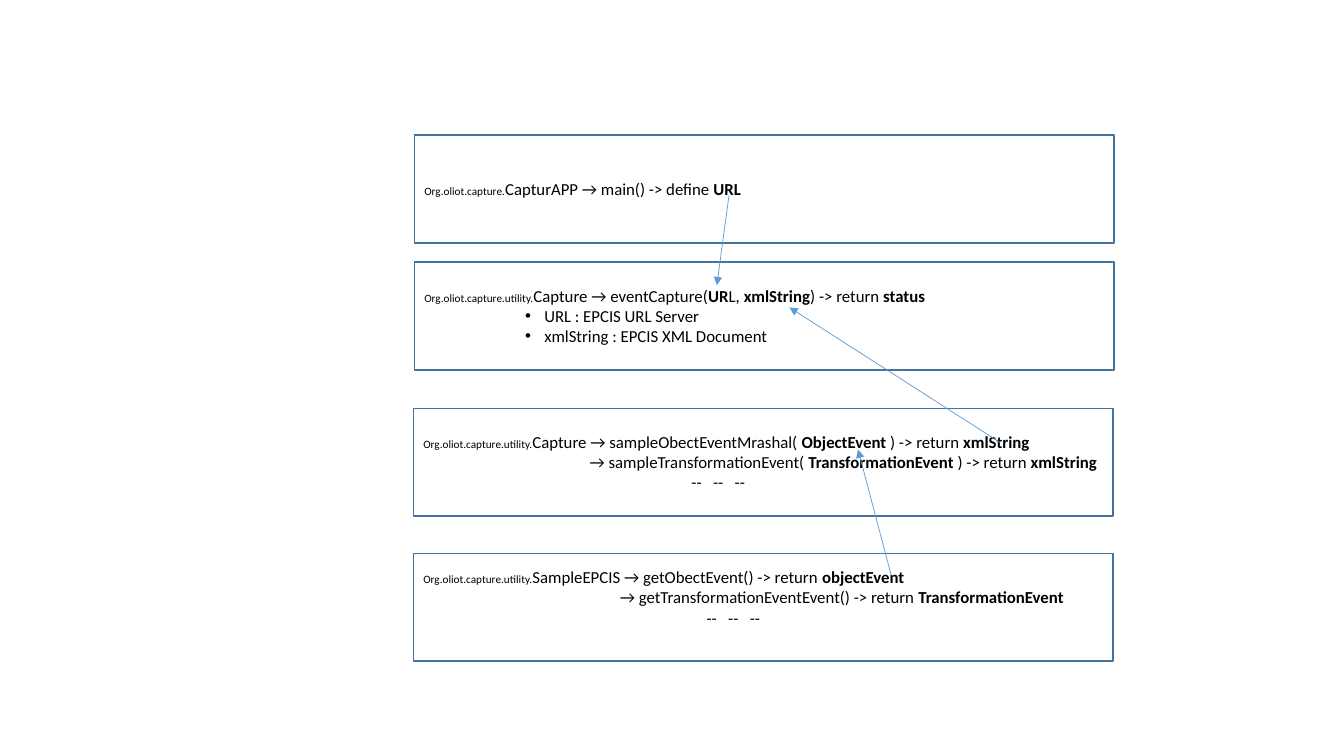
from lxml import etree
from pptx import Presentation
from pptx.dml.color import RGBColor
from pptx.enum import shapes, text
from pptx.oxml import ns
from pptx.util import Inches, Pt

WHITE = RGBColor(0xFF, 0xFF, 0xFF)
BLACK = RGBColor(0x00, 0x00, 0x00)
BORDER = RGBColor(0x43, 0x73, 0x9E)
ARROW = RGBColor(0x5B, 0x9B, 0xD5)

UTILITY = "Org.oliot.capture.utility."
BULLET_INDENT, BULLET_HANGING = 1.19, 0.19
MORE = "--   --   --"

# Each class: left, top, bottom inset, package, lines of (indent, bulleted, text);
# ** switches bold on and off
classes = [
    (4.10, 5.49, 0.25, UTILITY, [
        (0, False, "SampleEPCIS → getObectEvent() -> return **objectEvent"),
        (1.95, False, "→ getTransformationEventEvent() -> return **TransformationEvent"),
        (2.81, False, MORE)]),
    (4.10, 4.05, 0.05, UTILITY, [
        (0, False, "Capture → sampleObectEventMrashal( **ObjectEvent **) -> return **xmlString"),
        (1.65, False, "→ sampleTransformationEvent( **TransformationEvent **) -> return **xmlString"),
        (2.66, False, MORE)]),
    (4.11, 2.60, 0.05, UTILITY, [
        (0, False, "Capture → eventCapture(**UR**L, **xmlString**) -> return **status"),
        (BULLET_INDENT, True, "URL : EPCIS URL Server"),
        (BULLET_INDENT, True, "xmlString : EPCIS XML Document")]),
    (4.11, 1.34, 0.05, "Org.oliot.capture.", [
        (0, False, "CapturAPP → main() -> define **URL")]),
]

# Data flow arrows: start x, y, end x, y
flows = [
    (8.84, 5.71, 8.51, 4.46),
    (9.92, 4.39, 7.83, 3.05),
    (7.23, 1.94, 7.11, 2.83),
]

prs = Presentation()
prs.slide_width, prs.slide_height = Inches(13.33), Inches(7.5)
slide = prs.slides.add_slide(prs.slide_layouts[6])

# Class boxes
for left, top, bottom_inset, package, lines in classes:
    box = slide.shapes.add_shape(shapes.MSO_SHAPE.RECTANGLE, Inches(left),
                                 Inches(top), Inches(6.94), Inches(1.07))
    box.shadow.inherit = False
    box.fill.solid()
    box.fill.fore_color.rgb = WHITE
    box.line.color.rgb = BORDER
    box.line.width = Pt(1)
    frame = box.text_frame
    frame.word_wrap = True
    frame.vertical_anchor = text.MSO_ANCHOR.MIDDLE
    frame.margin_bottom = Inches(bottom_inset)

    for number, (indent, bulleted, content) in enumerate(lines):
        line = frame.add_paragraph() if number else frame.paragraphs[0]
        line.alignment = text.PP_ALIGN.LEFT
        line.font.name = "Calibri"
        line.font.size = Pt(12)
        line.font.color.rgb = BLACK
        properties = line._p.get_or_add_pPr()
        properties.set("marL", str(Inches(indent)))
        if bulleted:
            line.level = 1
            properties.set("indent", str(-Inches(BULLET_HANGING)))
            bullet_font = etree.Element(ns.qn("a:buFont"), typeface="Arial")
            bullet = etree.Element(ns.qn("a:buChar"), char="•")
            properties.insert(0, bullet_font)
            properties.insert(1, bullet)
        if number == 0:
            prefix = line.add_run()
            prefix.text = package
            prefix.font.size = Pt(8)
        for part, words in enumerate(content.split("**")):
            run = line.add_run()
            run.text = words
            run.font.bold = part % 2 == 1

# Arrows from returned values to the parameters that take them
for flow in flows:
    arrow = slide.shapes.add_connector(shapes.MSO_CONNECTOR.STRAIGHT,
                                       *[Inches(value) for value in flow])
    arrow.line.color.rgb = ARROW
    arrow.line.width = Pt(0.5)
    etree.SubElement(arrow.line._get_or_add_ln(), ns.qn("a:tailEnd"), type="triangle")
    etree.SubElement(arrow._element.spPr, ns.qn("a:effectLst"))

prs.save("out.pptx")
